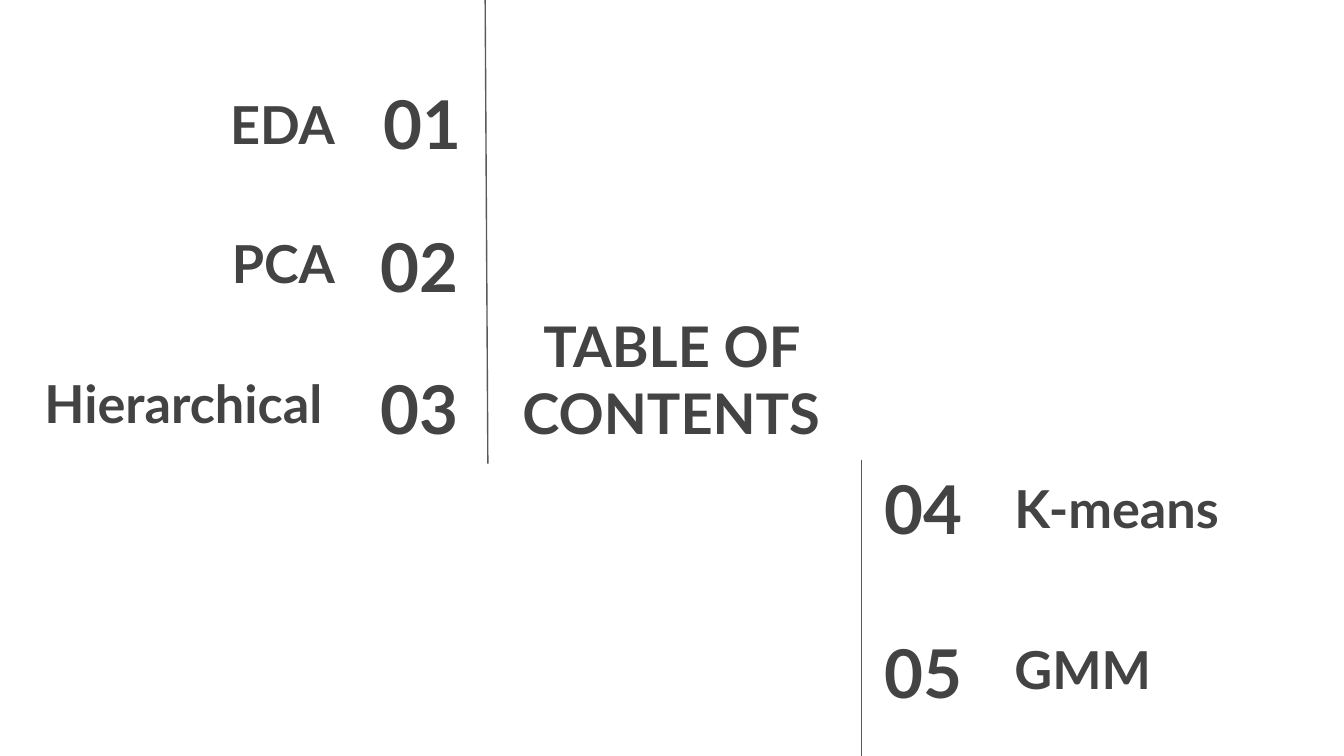
from dataclasses import dataclass

from lxml import etree
from pptx import Presentation
from pptx import util as u
from pptx.dml.color import RGBColor
from pptx.enum import shapes, text
from pptx.oxml.ns import qn


@dataclass(frozen=True)
class Theme:
    font: str = "Lato"
    ink: str = "434343"
    rule: str = "595959"
    background: str = "FFFFFF"
    title_size: int = 30
    number_size: int = 36
    topic_size: int = 28
    rule_width: float = 0.75
    inset: float = 0.1


class ContentsSlide:
    """Draws the title, entries and rules of a contents slide in one style."""

    def __init__(self, s, theme):
        self.s, self.theme = s, theme
        fill = s.background.fill
        fill.solid()
        fill.fore_color.rgb = RGBColor.from_string(theme.background)

    def label(self, words, box, size, align, anchor):
        sp = self.s.shapes.add_textbox(*map(u.Inches, box))
        tf = sp.text_frame
        inset = u.Inches(self.theme.inset)
        frame = {"word_wrap": True, "vertical_anchor": anchor}
        for side in ("left", "top", "right", "bottom"):
            frame[f"margin_{side}"] = inset
        for name, value in frame.items():
            setattr(tf, name, value)
        p = tf.paragraphs[0]
        p.alignment = align
        r = p.add_run()
        r.text = words
        for name, value in {"name": self.theme.font, "size": u.Pt(size), "bold": True}.items():
            setattr(r.font, name, value)
        r.font.color.rgb = RGBColor.from_string(self.theme.ink)

    def title(self, words, box):
        self.label(words, box, self.theme.title_size, text.PP_ALIGN.CENTER, text.MSO_ANCHOR.MIDDLE)

    def entry(self, number, number_box, topic, topic_box, align):
        self.label(number, number_box, self.theme.number_size, align, text.MSO_ANCHOR.MIDDLE)
        self.label(topic, topic_box, self.theme.topic_size, align, text.MSO_ANCHOR.BOTTOM)

    def rule(self, *ends):
        line = self.s.shapes.add_connector(shapes.MSO_CONNECTOR.STRAIGHT, *map(u.Inches, ends))
        line.line.color.rgb = RGBColor.from_string(self.theme.rule)
        line.line.width = u.Pt(self.theme.rule_width)
        etree.SubElement(line._element.spPr, qn("a:effectLst"))


def main():
    prs = Presentation()
    prs.slide_width = u.Inches(10)
    prs.slide_height = u.Inches(10 * 9 / 16)
    slide = ContentsSlide(prs.slides.add_slide(prs.slide_layouts[6]), Theme())
    row = 0.63
    left, right = text.PP_ALIGN.LEFT, text.PP_ALIGN.RIGHT

    slide.title("TABLE OF CONTENTS", (3.7, 2.3, 2.59, 1.03))
    for number, x, y, topic, topic_x, topic_y in (
        ("01", 2.32, 0.6, "EDA", 0.43, 0.62),
        ("02", 2.3, 1.66, "PCA", 0.43, 1.66),
        ("03", 2.3, 2.72, "Hierarchical ", 0, 2.7),
    ):
        topic_box = (topic_x, topic_y, 2.59 - topic_x, row)
        slide.entry(number, (x, y, 1.21, row), topic, topic_box, right)
    for number, y, topic, topic_y in (("04", 3.46, "K-means", 3.48), ("05", 4.68, "GMM", 4.68)):
        slide.entry(number, (6.48, y, 1.17, row), topic, (7.45, topic_y, 2.16, row), left)
    slide.rule(3.61, 0, 3.63, 3.45)
    slide.rule(6.41, 3.42, 6.41, 5.64)

    prs.save("out.pptx")


if __name__ == "__main__":
    main()
